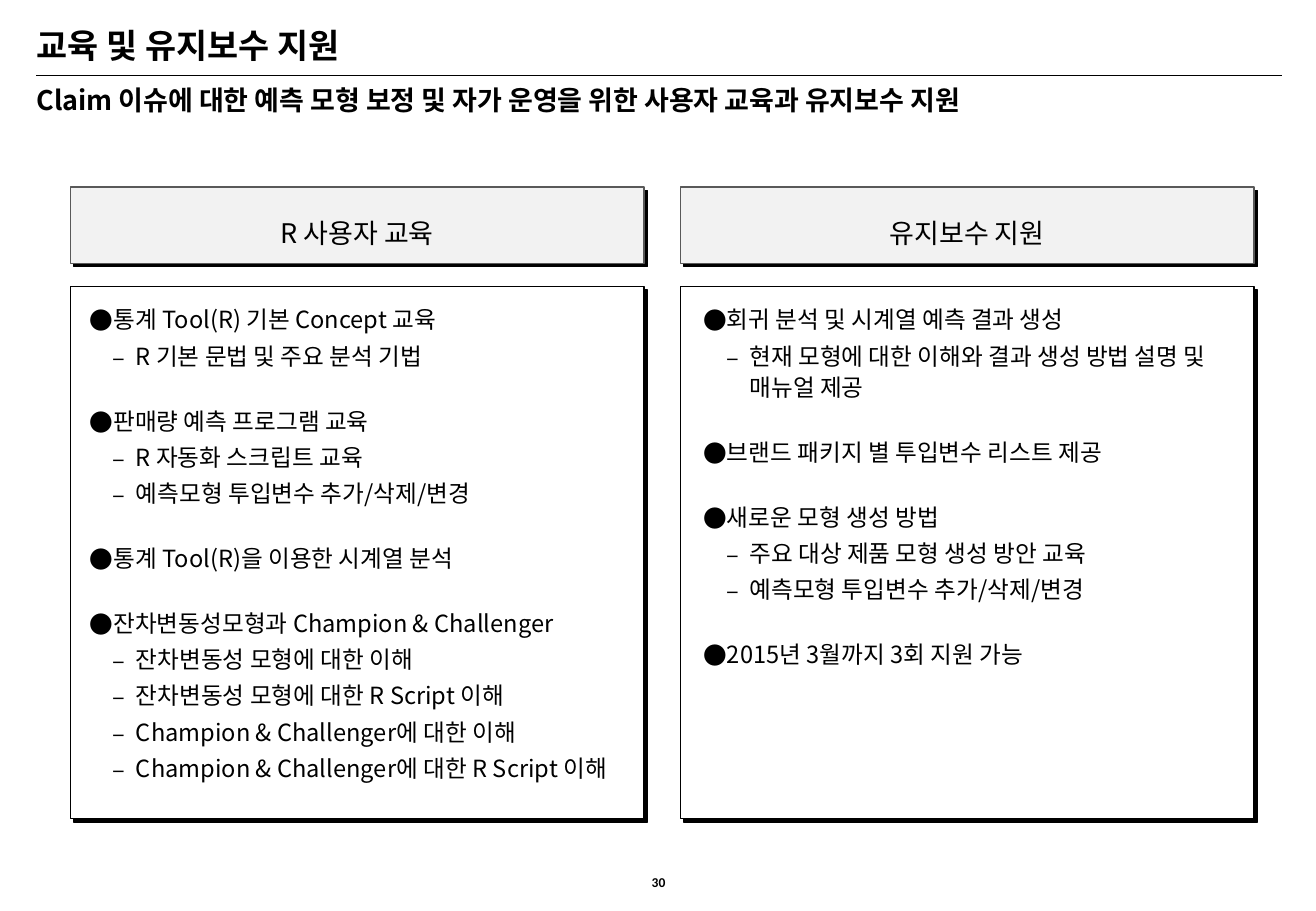
from lxml import etree
from pptx import Presentation
from pptx import util as u
from pptx.dml.color import RGBColor
from pptx.enum import shapes, text
from pptx.oxml import ns
from pptx.util import Inches

COLORS = {"ink": "000000", "paper": "FFFFFF", "header": "F2F2F2", "header_line": "595959"}
FONT = "Noto Sans CJK KR"
PANEL_WIDTH = 4.72
BULLETS = ("●", "–")

TRAINING = [
    (0, "통계 Tool(R) 기본 Concept 교육"),
    (1, "R 기본 문법 및 주요 분석 기법"),
    (0, "판매량 예측 프로그램 교육"),
    (1, "R 자동화 스크립트 교육"),
    (1, "예측모형 투입변수 추가/삭제/변경"),
    (0, "통계 Tool(R)을 이용한 시계열 분석"),
    (0, "잔차변동성모형과 Champion & Challenger"),
    (1, "잔차변동성 모형에 대한 이해"),
    (1, "잔차변동성 모형에 대한 R Script 이해"),
    (1, "Champion & Challenger에 대한 이해"),
    (1, "Champion & Challenger에 대한 R Script 이해"),
]
MAINTENANCE = [
    (0, "회귀 분석 및 시계열 예측 결과 생성"),
    (1, "현재 모형에 대한 이해와 결과 생성 방법 설명 및 매뉴얼 제공"),
    (0, "브랜드 패키지 별 투입변수 리스트 제공"),
    (0, "새로운 모형 생성 방법"),
    (1, "주요 대상 제품 모형 생성 방안 교육"),
    (1, "예측모형 투입변수 추가/삭제/변경"),
    (0, "2015년 3월까지 3회 지원 가능"),
]


def color(name):
    return RGBColor.from_string(COLORS[name])


def add_child(parent, tag, **attributes):
    return etree.SubElement(parent, ns.qn(tag), attributes)


def add_span(para, words, size, bold=False, font=FONT):
    """Add a run whose font covers Latin and Korean letters alike."""
    span = para.add_run()
    span.text = words
    span.font.size = u.Pt(size)
    span.font.bold = bold
    span.font.color.rgb = color("ink")
    span.font.name = font
    add_child(span.font._element, "a:ea", typeface=font)


def add_box(slide, left, top, width, height, inset=0):
    """Add an empty wrapping text box and return its text frame."""
    box = slide.shapes.add_textbox(Inches(left), Inches(top), Inches(width), Inches(height))
    frame = box.text_frame
    frame.word_wrap = True
    frame.margin_left = Inches(inset)
    frame.margin_top = frame.margin_right = frame.margin_bottom = 0
    return frame


def add_label(slide, position, words, size, bold=True, font=FONT, align=text.PP_ALIGN.LEFT):
    frame = add_box(slide, *position)
    para = frame.paragraphs[0]
    para.alignment = align
    add_span(para, words, size, bold, font)
    return frame


def add_panel(slide, left, top, height, fill, line):
    """Add a rectangle with a hard black shadow to the lower right."""
    panel = slide.shapes.add_shape(shapes.MSO_SHAPE.RECTANGLE, Inches(left), Inches(top),
                                   Inches(PANEL_WIDTH), Inches(height))
    panel.fill.solid()
    panel.fill.fore_color.rgb = color(fill)
    panel.line.color.rgb = color(line)
    panel.line.width = u.Pt(0.75)
    panel.shadow.inherit = False
    effects = panel._element.spPr.find(ns.qn("a:effectLst"))
    shadow = add_child(effects, "a:outerShdw", blurRad="0", dist=str(u.Pt(2.8)),
                       dir=str(45 * 60000), algn="tl", rotWithShape="0")
    add_child(shadow, "a:srgbClr", val=COLORS["ink"])


def add_bullets(slide, position, items):
    frame = add_box(slide, *position, inset=0.1)
    for index, (level, words) in enumerate(items):
        para = frame.paragraphs[0] if index == 0 else frame.add_paragraph()
        para.level = level
        para.line_spacing = 1.1
        para.space_before = u.Pt(20 if index and level == 0 else 3)
        properties = para._p.get_or_add_pPr()
        properties.set("marL", str(Inches(0.19 * (level + 1))))
        properties.set("indent", str(Inches(-0.19)))
        add_child(add_child(properties, "a:buClr"), "a:srgbClr", val=COLORS["ink"])
        add_child(properties, "a:buFont", typeface=FONT)
        add_child(properties, "a:buChar", char=BULLETS[level])
        add_span(para, words, 14)


def add_column(slide, left, heading, items, list_left, list_width):
    add_panel(slide, left, 1.54, 0.63, "header", "header_line")
    frame = add_label(slide, (left, 1.73, PANEL_WIDTH, 0.28), heading, 16, bold=False,
                      align=text.PP_ALIGN.CENTER)
    frame.paragraphs[0].line_spacing = 1.2
    add_panel(slide, left, 2.36, 4.38, "paper", "ink")
    add_bullets(slide, (list_left, 2.49, list_width, 4.25), items)


def add_rule(slide):
    rule = slide.shapes.add_connector(shapes.MSO_CONNECTOR.STRAIGHT, Inches(0.3), Inches(0.62),
                                      Inches(10.55), Inches(0.62))
    rule.line.color.rgb = color("ink")
    rule.line.width = u.Pt(0.75)
    add_child(rule._element.spPr, "a:effectLst")


def main():
    deck = Presentation()
    deck.slide_width, deck.slide_height = Inches(10.83), Inches(7.5)
    slide = deck.slides.add_slide(deck.slide_layouts[6])
    add_rule(slide)
    title = add_label(slide, (0.3, 0.12, 9.48, 0.5), "교육 및 유지보수 지원", 20)
    title.vertical_anchor = text.MSO_ANCHOR.MIDDLE
    add_label(slide, (0.3, 0.69, 10.21, 0.59),
              "Claim 이슈에 대한 예측 모형 보정 및 자가 운영을 위한 사용자 교육과 유지보수 지원", 16)
    add_column(slide, 0.58, "R 사용자 교육", TRAINING, 0.64, 4.45)
    add_column(slide, 5.6, "유지보수 지원", MAINTENANCE, 5.69, 4.57)
    add_label(slide, (5.18, 7.2, 0.48, 0.13), "30", 8, font="Calibri",
              align=text.PP_ALIGN.CENTER)
    deck.save("out.pptx")


if __name__ == "__main__":
    main()
